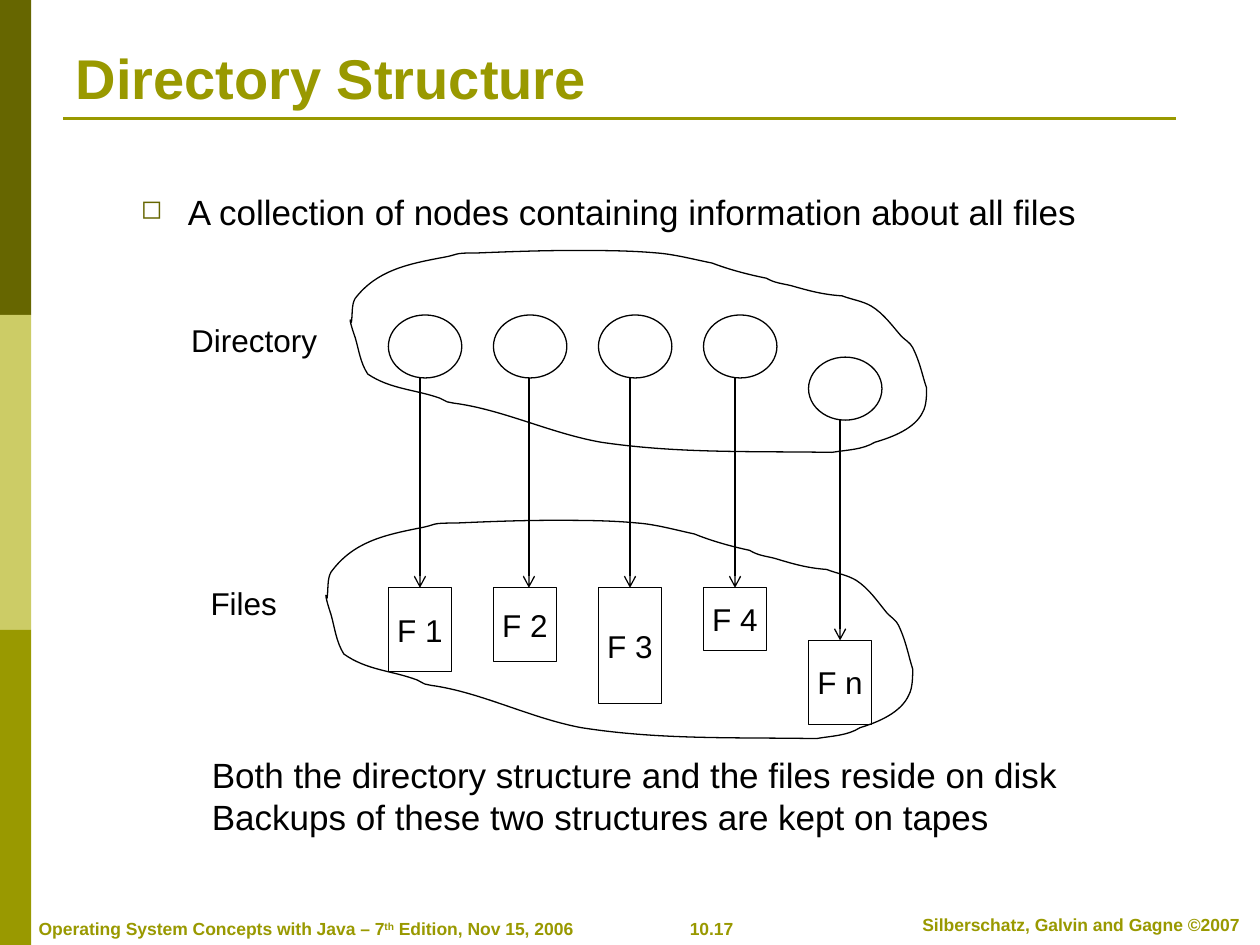
from lxml import etree
from pptx import Presentation
from pptx.dml.color import RGBColor
from pptx.enum.shapes import MSO_CONNECTOR, MSO_SHAPE
from pptx.enum.text import MSO_ANCHOR, MSO_AUTO_SIZE, PP_ALIGN
from pptx.oxml.ns import qn
from pptx.util import Cm, Pt

OLIVE, BLACK, WHITE = "999900", "000000", "FFFFFF"


def colour(hex_text):
    return RGBColor.from_string(hex_text)


def write(para, text, size=18, ink=BLACK, bold=False, align=PP_ALIGN.LEFT, raised=False):
    """Add one formatted span of text to a paragraph."""
    para.alignment = align
    span = para.add_run()
    span.text = text
    span.font.name = "Arial"
    span.font.size = Pt(size)
    span.font.bold = bold
    span.font.color.rgb = colour(ink)
    if raised:
        span.font._element.set("baseline", "30000")


deck = Presentation()
deck.slide_width, deck.slide_height = Cm(25.4), Cm(19.05)
page = deck.slides.add_slide(deck.slide_layouts[5])
shapes = page.shapes

# Side bands, each a third of the slide height
for index, band_fill in enumerate(["666600", "CCCC66", OLIVE]):
    band = shapes.add_shape(MSO_SHAPE.RECTANGLE, 0, Cm(6.35 * index), Cm(0.63), Cm(6.35))
    band.shadow.inherit = False
    band.fill.solid()
    band.fill.fore_color.rgb = colour(band_fill)
    band.line.fill.background()

# Title and its rule
title = shapes.title
title.left, title.top, title.width, title.height = Cm(1.27), Cm(0.76), Cm(22.86), Cm(1.6)
title.text_frame.auto_size = MSO_AUTO_SIZE.NONE
title.text_frame.vertical_anchor = MSO_ANCHOR.BOTTOM
write(title.text_frame.paragraphs[0], "Directory Structure", size=32, ink=OLIVE, bold=True)
rule = shapes.add_connector(MSO_CONNECTOR.STRAIGHT, Cm(1.27), Cm(2.39), Cm(23.7), Cm(2.39))

# Bullet line
box = shapes.add_textbox(Cm(2.59), Cm(3.88), Cm(20.47), Cm(0.99))
box.text_frame.word_wrap = True
para = box.text_frame.paragraphs[0]
para.line_spacing = 0.8
para_format = para._p.get_or_add_pPr()
para_format.set("marL", str(Cm(0.95)))
para_format.set("indent", str(Cm(-0.95)))
bullet_colour = etree.SubElement(para_format, qn("a:buClr"))
etree.SubElement(bullet_colour, qn("a:srgbClr"), val="666600")
etree.SubElement(para_format, qn("a:buSzPct"), val="75000")
etree.SubElement(para_format, qn("a:buChar"), char="◻")
write(para, "A collection of nodes containing information about all files", size=20)

# Directory nodes, files and the arrows between them
outlined = []
arrows = []
# name, file height, drop of the column's node, drop of its file, arrow offset from centre
columns = [
    ("F 1", 1.69, 0, 0, 0),
    ("F 2", 1.48, 0, 0, 0.08),
    ("F 3", 2.33, 0, 0, 0),
    ("F 4", 1.27, 0, 0, 0),
    ("F n", 1.69, 0.85, 1.06, 0),
]
for index, (name, height, node_drop, file_drop, offset) in enumerate(columns):
    left = 7.83 + 8.47 / 4 * index
    node_top, file_top = 6.35 + node_drop, 11.85 + file_drop
    node = shapes.add_shape(MSO_SHAPE.OVAL, Cm(left), Cm(node_top), Cm(1.48), Cm(1.27))
    file_box = shapes.add_shape(MSO_SHAPE.RECTANGLE, Cm(left), Cm(file_top), Cm(1.27), Cm(height))
    for shape in (node, file_box):
        shape.fill.solid()
        shape.fill.fore_color.rgb = colour(WHITE)
        outlined.append(shape)
    file_box.text_frame.word_wrap = False
    file_box.text_frame.vertical_anchor = MSO_ANCHOR.MIDDLE
    write(file_box.text_frame.paragraphs[0], name, align=PP_ALIGN.CENTER)

    middle = file_box.left + file_box.width // 2 + Cm(offset)
    arrow = shapes.add_connector(
        MSO_CONNECTOR.STRAIGHT, middle, Cm(node_top + 1.27), middle, Cm(file_top))
    if offset == 0:
        arrow.end_connect(file_box, 0)
    arrows.append(arrow)

# Clouds: one closed Bezier outline on a 457 by 160 grid, placed twice
start = (1, 57)
curves = [
    (2, 50, 1, 43, 4, 38), (21, 16, 45, 11, 71, 6), (89, 3, 79, 2, 101, 2),
    (126, 1, 151, 0, 177, 0), (199, 0, 221, 0, 243, 2), (257, 3, 272, 7, 287, 10),
    (300, 15, 315, 19, 330, 22), (337, 26, 342, 26, 350, 28), (364, 32, 375, 35, 390, 36),
    (398, 39, 406, 40, 413, 44), (423, 50, 430, 60, 437, 68), (440, 71, 444, 73, 446, 77),
    (450, 85, 452, 92, 454, 99), (455, 103, 457, 109, 457, 109), (457, 114, 457, 123, 454, 128),
    (448, 141, 430, 148, 416, 152), (406, 158, 394, 158, 382, 160),
    (318, 159, 260, 161, 199, 152), (159, 145, 121, 126, 82, 121), (80, 121, 79, 121, 77, 120),
    (75, 119, 73, 118, 71, 117), (51, 110, 32, 110, 14, 98), (8, 89, 7, 79, 4, 69),
    (4, 69, 0, 58, 0, 55), (0, 55, 1, 56, 1, 57),
]
for left, top, width, height in [(7.06, 5.05, 11.62, 4.07), (6.57, 10.49, 11.83, 4.4)]:
    builder = shapes.build_freeform(*start, scale=(Cm(width) / 457, Cm(height) / 160))
    builder.add_line_segments([curve[4:] for curve in curves], close=True)
    cloud = builder.convert_to_shape(Cm(left), Cm(top))
    # Bend each straight segment into its curve
    segments = list(cloud._element.iter(qn("a:lnTo")))
    for segment, curve in zip(segments, curves):
        bend = etree.Element(qn("a:cubicBezTo"))
        for x, y in zip(curve[::2], curve[1::2]):
            etree.SubElement(bend, qn("a:pt"), x=str(x), y=str(y))
        segment.getparent().replace(segment, bend)
    cloud.fill.background()
    outlined.append(cloud)

# Thin black outlines, and plain lines without shadow
for shape in outlined:
    shape.shadow.inherit = False
    shape.line.color.rgb = colour(BLACK)
    shape.line.width = Pt(0.75)
for line in [rule] + arrows:
    line.line.color.rgb = colour(OLIVE if line is rule else BLACK)
    line.line.width = Pt(1.5 if line is rule else 0.75)
    if line is not rule:
        etree.SubElement(line.line._get_or_add_ln(), qn("a:tailEnd"), type="arrow")
    etree.SubElement(line._element.spPr, qn("a:effectLst"))

# Labels beside the clouds
for text, left, top, width in [("Directory", 3.6, 6.35, 3.05), ("Files", 3.99, 11.64, 1.85)]:
    box = shapes.add_textbox(Cm(left), Cm(top), Cm(width), Cm(1.02))
    box.text_frame.word_wrap = False
    box.text_frame.vertical_anchor = MSO_ANCHOR.MIDDLE
    write(box.text_frame.paragraphs[0], text, align=PP_ALIGN.CENTER)

# Closing remarks
box = shapes.add_textbox(Cm(4.02), Cm(15.06), Cm(19.41), Cm(1.65))
box.text_frame.word_wrap = True
write(box.text_frame.paragraphs[0],
      "Both the directory structure and the files reside on disk", size=20)
write(box.text_frame.add_paragraph(),
      "Backups of these two structures are kept on tapes", size=20)

# Footer: spans of text, raised or not
footers = [
    (0.53, 18.38, 11.28, False, PP_ALIGN.LEFT,
     [("Operating System Concepts with Java – 7", False), ("th", True),
      (" Edition, Nov 15, 2006", False)]),
    (13, 18.38, 2.69, False, PP_ALIGN.CENTER, [("10.17", False)]),
    (18.02, 18.3, 7.54, True, PP_ALIGN.CENTER,
     [("Silberschatz, Galvin and Gagne ©2007", False)]),
]
for left, top, width, wrap, align, spans in footers:
    box = shapes.add_textbox(Cm(left), Cm(top), Cm(width), Cm(0.69))
    box.text_frame.word_wrap = wrap
    for text, raised in spans:
        write(box.text_frame.paragraphs[0], text, size=10, ink=OLIVE, bold=True,
              align=align, raised=raised)

deck.save("out.pptx")
